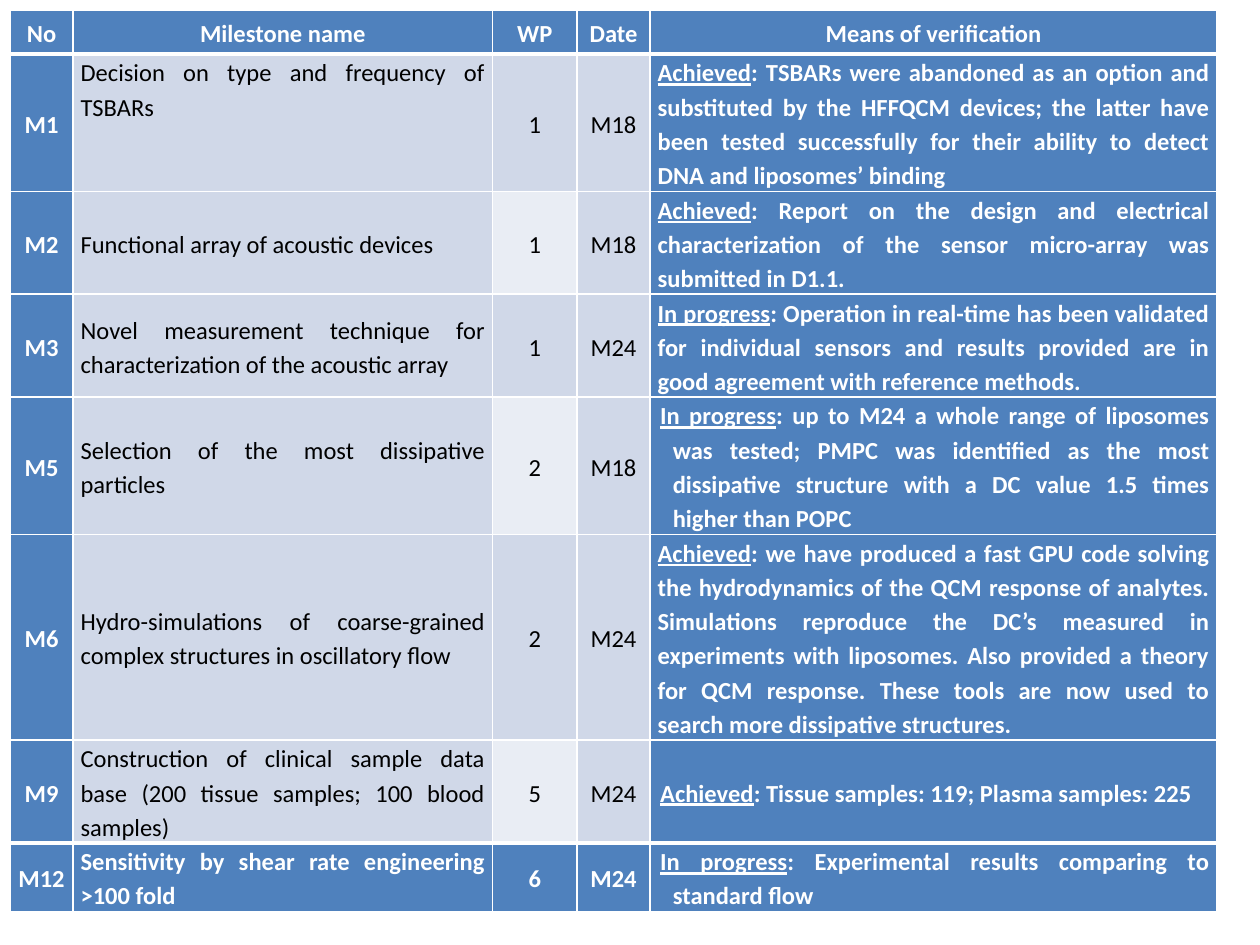
from lxml.etree import SubElement
from pptx import Presentation
from pptx.dml.color import RGBColor
from pptx.enum.text import MSO_ANCHOR, PP_ALIGN
from pptx.oxml.ns import qn
from pptx.util import Pt

COLORS = {"blue": "4F81BD", "pale": "D0D8E8", "paler": "E9EDF4", "white": "FFFFFF", "black": "000000"}
COLUMN_WIDTHS = [36, 239.76, 48.24, 41.76, 324]
ROW_HEIGHTS = [25.2, 27.36, 27.36, 27.36, 27.36, 38.16, 27.36, 27.36]
HEADINGS = ["No", "Milestone name", "WP", "Date", "Means of verification"]
HANGING = {"M5", "M9", "M12"}
MILESTONES = [
    ("M1", "Decision on type and frequency of TSBARs", "1", "M18", "Achieved",
     "TSBARs were abandoned as an option and substituted by the HFFQCM devices; the latter have been "
     "tested successfully for their ability to detect DNA and liposomes’ binding"),
    ("M2", "Functional array of acoustic devices", "1", "M18", "Achieved",
     "Report on the design and electrical characterization of the sensor micro-array was submitted in D1.1."),
    ("M3", "Novel measurement technique for characterization of the acoustic array", "1", "M24", "In progress",
     "Operation in real-time has been validated for individual sensors and results provided are in good "
     "agreement with reference methods."),
    ("M5", "Selection of the most dissipative particles", "2", "M18", "In progress",
     "up to M24 a whole range of liposomes was tested; PMPC was identified as the most dissipative "
     "structure with a DC value 1.5 times higher than POPC"),
    ("M6", "Hydro-simulations of coarse-grained complex structures in oscillatory flow", "2", "M24", "Achieved",
     "we have produced a fast GPU code solving the hydrodynamics of the QCM response of analytes. "
     "Simulations reproduce the DC’s measured in experiments with liposomes. Also provided a theory for "
     "QCM response. These tools are now used to search more dissipative structures."),
    ("M9", "Construction of clinical sample data base (200 tissue samples; 100 blood samples)", "5", "M24",
     "Achieved", "Tissue samples: 119; Plasma samples: 225"),
    ("M12", "Sensitivity by shear rate engineering >100 fold", "6", "M24", "In progress",
     "Experimental results comparing to standard flow"),
]


def write_text(cell, text, status="", color="white", bold=True, align=PP_ALIGN.CENTER, hanging=False):
    """Write an optional underlined status followed by text into a cell."""
    paragraph = cell.text_frame.paragraphs[0]
    paragraph.alignment = align
    paragraph.line_spacing = 1.15
    if hanging:
        properties = paragraph._p.get_or_add_pPr()
        properties.set("marL", str(Pt(8.64)))
        properties.set("indent", str(Pt(-7.2)))
    parts = [(status, True), (f": {text}", False)] if status else [(text, False)]
    for wording, underlined in parts:
        run = paragraph.add_run()
        run.text = wording
        run.font.name = "Calibri"
        run.font.size = Pt(14)
        run.font.bold = bold
        run.font.underline = underlined
        run.font.color.rgb = RGBColor.from_string(COLORS[color])


def style_cell(cell, fill, top=1, bottom=1):
    """Set the insets, white borders and fill of a cell."""
    cell.margin_left = cell.margin_right = Pt(4.32)
    cell.margin_top = cell.margin_bottom = Pt(0)
    cell.vertical_anchor = MSO_ANCHOR.MIDDLE
    properties = cell._tc.get_or_add_tcPr()
    for side, width in (("L", 1), ("R", 1), ("T", top), ("B", bottom)):
        border = SubElement(properties, qn(f"a:ln{side}"), w=str(Pt(width)))
        line_fill = SubElement(border, qn("a:solidFill"))
        SubElement(line_fill, qn("a:srgbClr"), val=COLORS["white"])
    cell.fill.solid()
    cell.fill.fore_color.rgb = RGBColor.from_string(COLORS[fill])


def add_milestone_table(slide, left, top, width, height):
    """Build the milestone table in the given box."""
    frame = slide.shapes.add_table(len(ROW_HEIGHTS), len(COLUMN_WIDTHS), Pt(left), Pt(top), Pt(width), Pt(height))
    table = frame.table
    table.horz_banding = False
    for column, column_width in zip(table.columns, COLUMN_WIDTHS):
        column.width = Pt(column_width)
    for row, row_height in zip(table.rows, ROW_HEIGHTS):
        row.height = Pt(row_height)
    frame.height = Pt(height)

    for column, heading in enumerate(HEADINGS):
        cell = table.cell(0, column)
        style_cell(cell, "blue", bottom=3)
        write_text(cell, heading)

    last = len(MILESTONES)
    for row, (number, name, package_number, date, status, evidence) in enumerate(MILESTONES, start=1):
        is_last = row == last
        wp_fill = "pale" if row % 2 else "paler"
        fills = ["blue"] * 5 if is_last else ["blue", "pale", wp_fill, "pale", "blue"]
        for column, fill in enumerate(fills):
            style_cell(table.cell(row, column), fill, top=3 if row in (1, last) else 1,
                       bottom=3 if row == last - 1 else 1)
        body = {"color": "white" if is_last else "black", "bold": is_last}
        write_text(table.cell(row, 0), number)
        write_text(table.cell(row, 1), name, align=PP_ALIGN.JUSTIFY, **body)
        write_text(table.cell(row, 2), package_number, **body)
        write_text(table.cell(row, 3), date, **body)
        write_text(table.cell(row, 4), evidence, status=status, align=PP_ALIGN.JUSTIFY, hanging=number in HANGING)
    table.cell(1, 1).vertical_anchor = MSO_ANCHOR.TOP


def main():
    """Create the milestone slide and save it."""
    presentation = Presentation()
    presentation.slide_width, presentation.slide_height = Pt(720), Pt(540)
    slide = presentation.slides.add_slide(presentation.slide_layouts[6])
    add_milestone_table(slide, 5.76, 5.76, sum(COLUMN_WIDTHS), 502.56)
    presentation.save("out.pptx")


if __name__ == "__main__":
    main()
